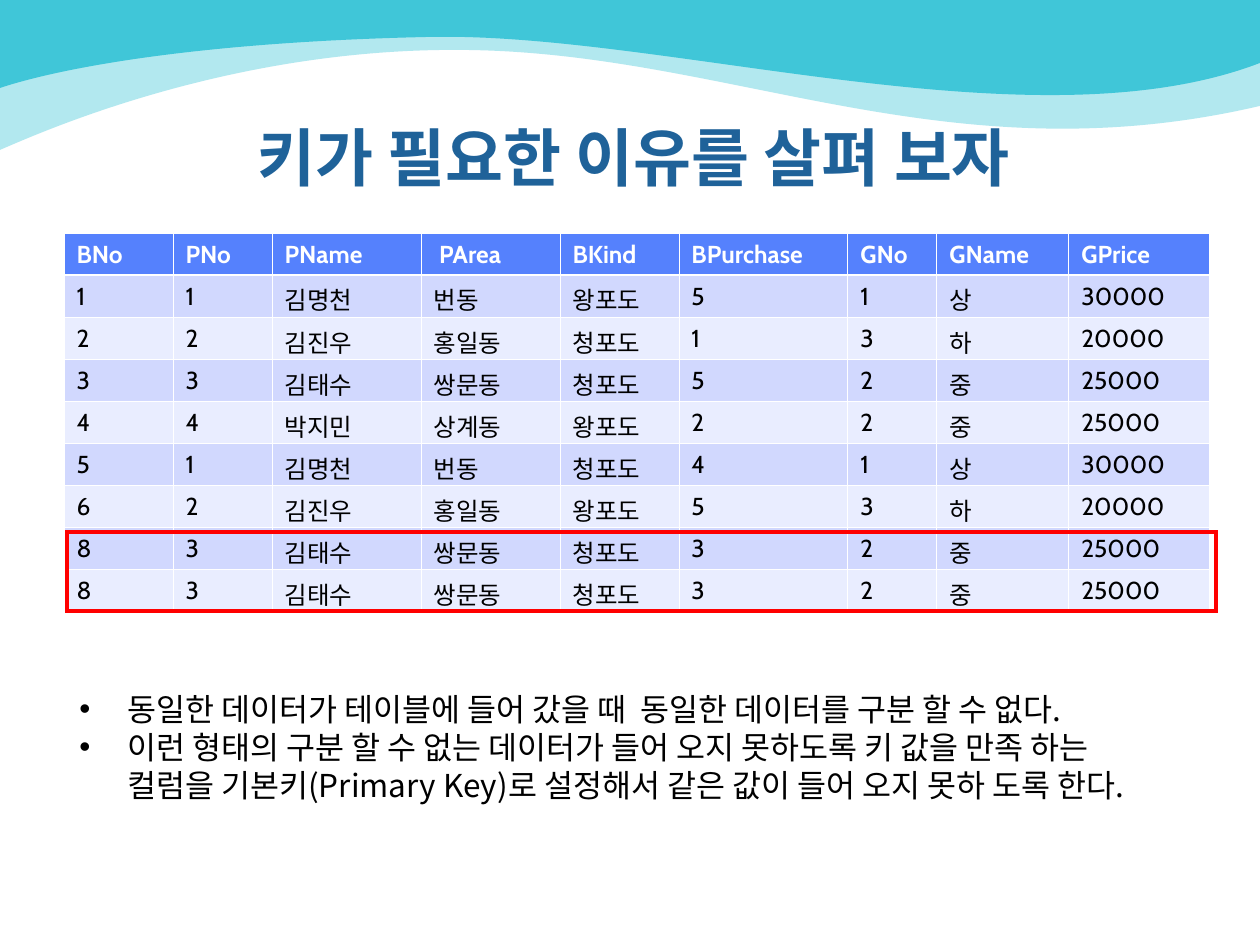
from lxml import etree
from pptx import Presentation
from pptx.dml.color import RGBColor
from pptx.enum.shapes import MSO_SHAPE
from pptx.enum.text import MSO_ANCHOR, PP_ALIGN
from pptx.oxml.ns import qn
from pptx.util import Pt

RECTANGLE = MSO_SHAPE.RECTANGLE
TOP = MSO_ANCHOR.TOP
CENTER = PP_ALIGN.CENTER
LEFT = PP_ALIGN.LEFT
PX = 914400 / 126

TEAL, WHITE, BLACK, RED = "40C6D8", "FFFFFF", "000000", "FF0000"
TITLE_BLUE, HEADER_BLUE = "1F6299", "5581FD"
BANDS = ("D1D8FE", "E9EDFF")

LIGHT_WAVE = [(0, 150), (42, 132), (248, 39), (499, 51), (750, 63), (960, 176), (1260, 106)]
DARK_WAVE = [(0, 88), (57, 69), (193, 42), (430, 37), (667, 32), (1033, 150), (1260, 63)]

COLUMN_WIDTHS = [109, 99, 149, 139, 119, 169, 89, 132, 141]
ROW_HEIGHT = 42
HEADERS = ["BNo", "PNo", "PName", " PArea", "BKind", "BPurchase", "GNo", "GName", "GPrice"]
PEOPLE = {
    "1": ("김명천", "번동"),
    "2": ("김진우", "홍일동"),
    "3": ("김태수", "쌍문동"),
    "4": ("박지민", "상계동"),
}
GRADES = {"1": ("상", "30000"), "2": ("중", "25000"), "3": ("하", "20000")}
PURCHASES = [
    ("1", "1", "왕포도", "5", "1"),
    ("2", "2", "청포도", "1", "3"),
    ("3", "3", "청포도", "5", "2"),
    ("4", "4", "왕포도", "2", "2"),
    ("5", "1", "청포도", "4", "1"),
    ("6", "2", "왕포도", "5", "3"),
    ("8", "3", "청포도", "3", "2"),
    ("8", "3", "청포도", "3", "2"),
]
NOTES = [
    "동일한 데이터가 테이블에 들어 갔을 때  동일한 데이터를 구분 할 수 없다.",
    "이런 형태의 구분 할 수 없는 데이터가 들어 오지 못하도록 키 값을 만족 하는 컬럼을 "
    "기본키(Primary Key)로 설정해서 같은 값이 들어 오지 못하 도록 한다.",
]


def px(length):
    """Turn px into EMU."""
    return round(length * PX)


def color(value):
    """Turn a hex string into a colour."""
    return RGBColor.from_string(value)


class SlideBuilder:
    """Holds the slide style and draws each kind of element."""

    latin_font = "Cabin"
    korean_font = "Noto Sans CJK KR"

    def __init__(self, slide):
        """Keep the slide to draw on."""
        self.slide = slide

    def format(self, paragraph, size, fill, font=latin_font, bold=False, align=LEFT):
        """Set the font and alignment of a paragraph."""
        paragraph.alignment = align
        paragraph.font.name = font
        paragraph.font.size = Pt(size)
        paragraph.font.bold = bold
        paragraph.font.color.rgb = color(fill)

    def east_asian(self, paragraph):
        """Use the main font for the East Asian text and spaces too."""
        latin = paragraph._p.pPr.find(".//" + qn("a:latin"))
        latin.addnext(etree.Element(qn("a:ea"), typeface=self.latin_font))

    def wave(self, edge, fill, opacity=100):
        """Draw a filled band from the slide top down to a curved edge."""
        builder = self.slide.shapes.build_freeform(0, 0, scale=PX)
        builder.add_line_segments([*edge, (1260, 0)], close=True)
        shape = builder.convert_to_shape()
        lines = shape.element.findall(".//" + qn("a:lnTo"))
        for start in range(1, len(edge), 3):
            curve = etree.Element(qn("a:cubicBezTo"))
            lines[start].addprevious(curve)
            for line in lines[start:start + 3]:
                curve.append(line[0])
                line.getparent().remove(line)
        shape.shadow.inherit = False
        shape.line.fill.background()
        shape.fill.solid()
        shape.fill.fore_color.rgb = color(fill)
        if opacity < 100:
            tint = shape.element.spPr.find(".//" + qn("a:srgbClr"))
            etree.SubElement(tint, qn("a:alpha"), val=str(opacity * 1000))

    def title(self, text, left, top, width, height):
        """Place the title in front of the waves."""
        shape = self.slide.shapes.title
        shape.element.getparent().append(shape.element)
        shape.left, shape.top, shape.width, shape.height = map(px, (left, top, width, height))
        frame = shape.text_frame
        frame.vertical_anchor = TOP
        frame.text = text
        self.format(frame.paragraphs[0], 36, TITLE_BLUE, bold=True, align=CENTER)
        self.east_asian(frame.paragraphs[0])

    def bullets(self, texts, left, top, width, height):
        """Add a bulleted text box."""
        box = self.slide.shapes.add_textbox(*map(px, (left, top, width, height)))
        frame = box.text_frame
        frame.word_wrap = True
        for index, text in enumerate(texts):
            paragraph = frame.add_paragraph() if index else frame.paragraphs[0]
            paragraph.text = text
            properties = paragraph._p.get_or_add_pPr()
            properties.set("marL", str(px(48)))
            properties.set("indent", str(px(-48)))
            etree.SubElement(properties, qn("a:buFont"), typeface="Arial")
            etree.SubElement(properties, qn("a:buChar"), char="•")
            self.format(paragraph, 18, BLACK, self.korean_font)
            self.east_asian(paragraph)

    def borders(self, cell, top, bottom):
        """Give a cell white borders, with its own top and bottom widths."""
        properties = cell._tc.get_or_add_tcPr()
        sides = {"a:lnL": 0.45, "a:lnR": 0.45, "a:lnT": top, "a:lnB": bottom}
        for index, (side, width) in enumerate(sides.items()):
            line = etree.Element(qn(side), w=str(Pt(width)))
            fill = etree.SubElement(line, qn("a:solidFill"))
            etree.SubElement(fill, qn("a:srgbClr"), val=WHITE)
            properties.insert(index, line)

    def table(self, rows, left, top):
        """Add a table with a header row and banded body rows."""
        size = (sum(COLUMN_WIDTHS), ROW_HEIGHT * len(rows))
        frame = self.slide.shapes.add_table(
            len(rows), len(COLUMN_WIDTHS), *map(px, (left, top, *size)))
        table = frame.table
        for column, width in zip(table.columns, COLUMN_WIDTHS):
            column.width = px(width)
        for row_index, values in enumerate(rows):
            header = row_index == 0
            table.rows[row_index].height = px(ROW_HEIGHT)
            for column_index, value in enumerate(values):
                cell = table.cell(row_index, column_index)
                cell.text = value
                cell.fill.solid()
                cell.fill.fore_color.rgb = color(
                    HEADER_BLUE if header else BANDS[(row_index - 1) % 2])
                self.borders(cell, 1.47 if row_index == 1 else 0.45, 1.47 if header else 0.45)
                self.format(cell.text_frame.paragraphs[0], 14,
                            WHITE if header else BLACK, bold=header)

    def outline(self, left, top, width, height):
        """Add a red unfilled rectangle with sharp corners."""
        shape = self.slide.shapes.add_shape(RECTANGLE, *map(px, (left, top, width, height)))
        shape.shadow.inherit = False
        shape.fill.background()
        shape.line.color.rgb = color(RED)
        shape.line.width = Pt(2)
        etree.SubElement(shape.element.spPr.find(qn("a:ln")), qn("a:miter"), lim="800000")


def main():
    """Build and save the slide."""
    presentation = Presentation()
    presentation.slide_width, presentation.slide_height = px(1260), px(945)
    builder = SlideBuilder(presentation.slides.add_slide(presentation.slide_layouts[5]))
    builder.wave(LIGHT_WAVE, TEAL, opacity=40)
    builder.wave(DARK_WAVE, TEAL)
    builder.title("키가 필요한 이유를 살펴 보자", 67, 112, 1134, 158)
    builder.bullets(NOTES, 67, 684, 1109, 126)
    rows = [HEADERS] + [
        [number, person, *PEOPLE[person], kind, amount, grade, *GRADES[grade]]
        for number, person, kind, amount, grade in PURCHASES
    ]
    builder.table(rows, 64, 233)
    builder.outline(67, 532, 1149, 79)
    presentation.save("out.pptx")


if __name__ == "__main__":
    main()
